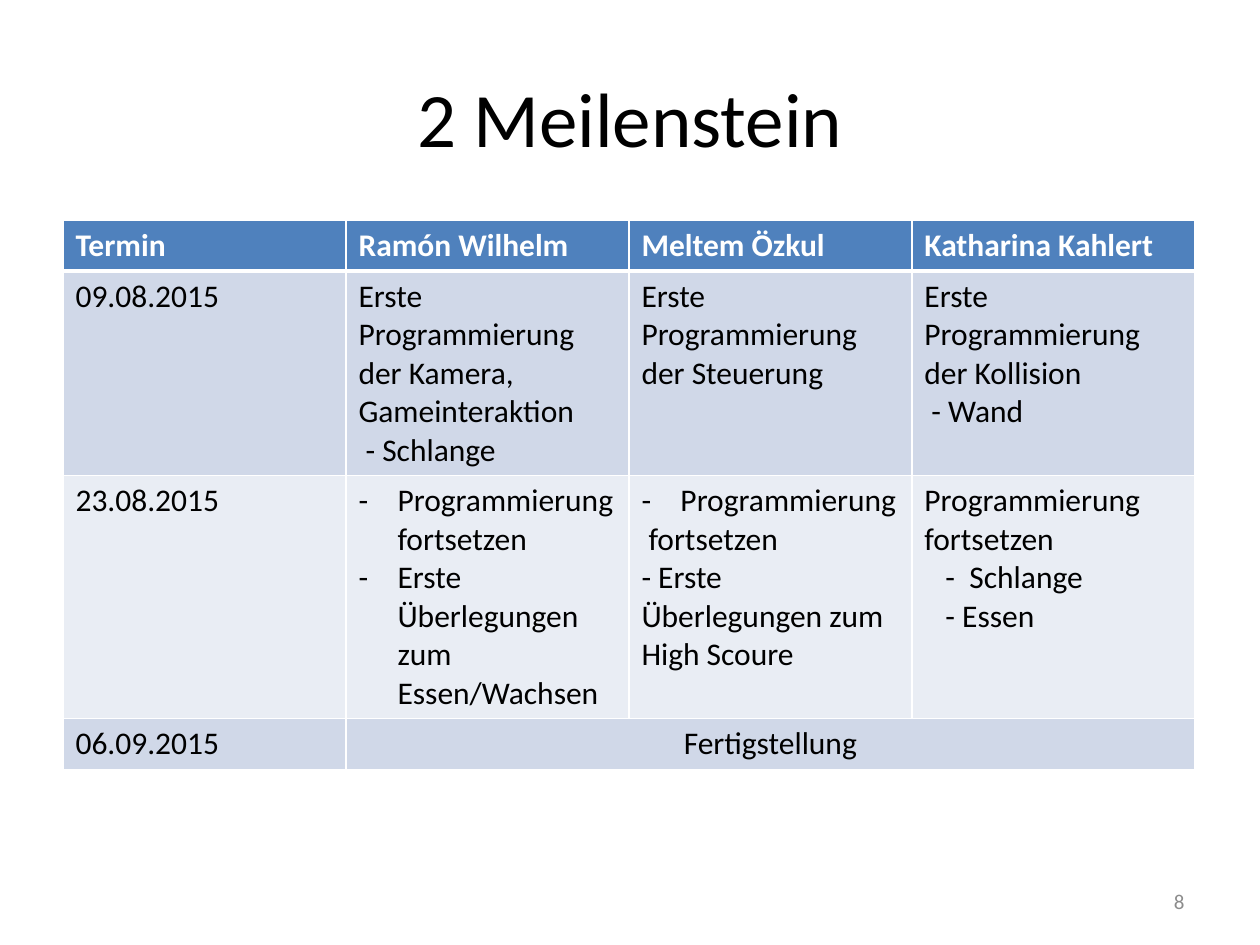
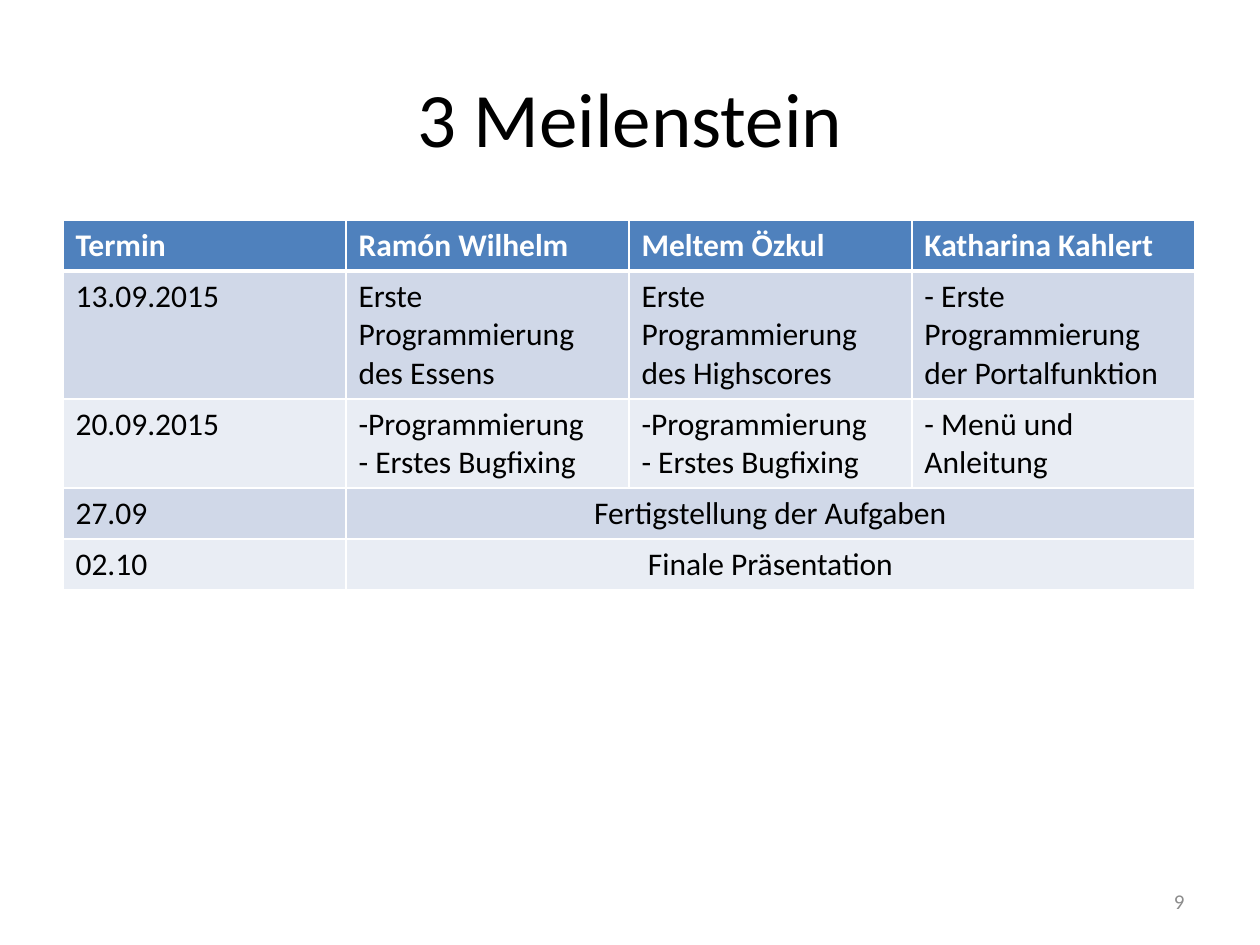
from dataclasses import dataclass

from lxml.etree import SubElement
from pptx import Presentation
from pptx.dml.color import RGBColor
from pptx.enum.text import MSO_ANCHOR, PP_ALIGN
from pptx.oxml.ns import qn
from pptx.util import Emu, Pt

# Shared scale and style
EMU_PER_PX = 914400 // 126
FONT = "Calibri"
BLACK, WHITE, GREY = "000000", "FFFFFF", "8C8C8C"
HEADER_FILL = "4F81BD"
BAND_FILLS = ("D0D8E8", "E9EDF4")

# Shared table layout
HEADINGS = ("Termin", "Ramón Wilhelm", "Meltem Özkul", "Katharina Kahlert")
COLUMN_WIDTH = 1134 // len(HEADINGS)
LINE_HEIGHT, ROW_PADDING = 38.4, 12.6


@dataclass
class Item:
    """A table line with an indent and, if hanging, a dash bullet."""
    text: str
    left: int
    hanging: int = 0


def px(length):
    return Emu(round(length * EMU_PER_PX))


def color(hex_value):
    return RGBColor.from_string(hex_value)


def style_paragraph(paragraph, size, hex_value, alignment=PP_ALIGN.LEFT, bold=False):
    paragraph.alignment = alignment
    paragraph.font.name = FONT
    paragraph.font.size = Pt(size)
    paragraph.font.bold = bold
    paragraph.font.color.rgb = color(hex_value)


def add_text(slide, text, left, top, width, height, size, hex_value, alignment):
    box = slide.shapes.add_textbox(px(left), px(top), px(width), px(height))
    frame = box.text_frame
    frame.word_wrap = True
    frame.vertical_anchor = MSO_ANCHOR.MIDDLE
    frame.text = text
    style_paragraph(frame.paragraphs[0], size, hex_value, alignment)


def indent_paragraph(paragraph, item):
    properties = paragraph._p.get_or_add_pPr()
    properties.set("marL", str(px(item.left)))
    properties.set("indent", str(px(-item.hanging)))
    if item.hanging:
        SubElement(properties, qn("a:buFont"), typeface=FONT)
        SubElement(properties, qn("a:buChar"), char="-")


def set_borders(cell, top, bottom):
    properties = cell._tc.get_or_add_tcPr()
    for side, width in (("L", 1), ("R", 1), ("T", top), ("B", bottom)):
        line = SubElement(properties, qn(f"a:ln{side}"), w=str(Pt(width)))
        fill = SubElement(line, qn("a:solidFill"))
        SubElement(fill, qn("a:srgbClr"), val=WHITE)


def fill_cell(cell, lines, hex_value, alignment, bold):
    frame = cell.text_frame
    for index, line in enumerate(lines):
        paragraph = frame.add_paragraph() if index else frame.paragraphs[0]
        item = line if isinstance(line, Item) else None
        paragraph.text = item.text if item else line
        style_paragraph(paragraph, 18, hex_value, alignment, bold)
        if item:
            indent_paragraph(paragraph, item)


def add_schedule(slide, entries):
    """Each entry is (line count, date, cells); a single cell spans all people."""
    rows = [(1, HEADINGS[0], [[name] for name in HEADINGS[1:]])] + entries
    heights = [ROW_PADDING + LINE_HEIGHT * row[0] for row in rows]
    column_count = len(HEADINGS)
    table = slide.shapes.add_table(
        len(rows), column_count, px(63), px(220),
        px(COLUMN_WIDTH * column_count), px(sum(heights))).table
    for column in table.columns:
        column.width = px(COLUMN_WIDTH)

    for row_index, (_, date, cells) in enumerate(rows):
        table.rows[row_index].height = px(heights[row_index])
        is_header = row_index == 0
        fill = HEADER_FILL if is_header else BAND_FILLS[(row_index - 1) % 2]
        for column_index in range(column_count):
            cell = table.cell(row_index, column_index)
            set_borders(cell, 3 if row_index == 1 else 1, 3 if is_header else 1)
            cell.fill.solid()
            cell.fill.fore_color.rgb = color(fill)

        is_spanning = len(cells) == 1
        if is_spanning:
            table.cell(row_index, 1).merge(table.cell(row_index, column_count - 1))
        for column_index, lines in enumerate([[date]] + cells):
            centred = is_spanning and column_index == 1
            fill_cell(table.cell(row_index, column_index), lines,
                      WHITE if is_header else BLACK,
                      PP_ALIGN.CENTER if centred else PP_ALIGN.LEFT, is_header)


def add_milestone_slide(presentation, title, number, entries):
    slide = presentation.slides.add_slide(presentation.slide_layouts[6])
    add_text(slide, title, 63, 38, 1134, 157, 44, BLACK, PP_ALIGN.CENTER)
    add_schedule(slide, entries)
    add_text(slide, str(number), 903, 876, 294, 50, 12, GREY, PP_ALIGN.RIGHT)


def main():
    presentation = Presentation()
    presentation.slide_width, presentation.slide_height = px(1260), px(945)

    # Second milestone
    add_milestone_slide(presentation, "2 Meilenstein", 8, [
        (5, "09.08.2015", [
            ["Erste Programmierung der Kamera,", "Gameinteraktion",
             Item("- Schlange", 7)],
            ["Erste Programmierung der Steuerung"],
            ["Erste Programmierung der Kollision", Item("- Wand", 7)],
        ]),
        (6, "23.08.2015", [
            [Item("Programmierung fortsetzen", 39, 39),
             Item("Erste Überlegungen zum Essen/Wachsen", 39, 39)],
            [Item("Programmierung", 39, 39), Item("fortsetzen", 7),
             "- Erste Überlegungen zum High Scoure"],
            ["Programmierung fortsetzen", Item("Schlange", 45, 24),
             Item("- Essen", 21)],
        ]),
        (1, "06.09.2015", [["Fertigstellung"]]),
    ])

    # Third milestone
    bugfixing = ["-Programmierung", "- Erstes Bugfixing"]
    add_milestone_slide(presentation, "3 Meilenstein", 9, [
        (3, "13.09.2015", [
            ["Erste Programmierung des Essens"],
            ["Erste Programmierung des Highscores"],
            ["- Erste Programmierung der Portalfunktion"],
        ]),
        (2, "20.09.2015", [bugfixing, bugfixing, ["- Menü und Anleitung"]]),
        (1, "27.09", [["Fertigstellung der Aufgaben"]]),
        (1, "02.10", [["Finale Präsentation"]]),
    ])

    presentation.save("out.pptx")


if __name__ == "__main__":
    main()
